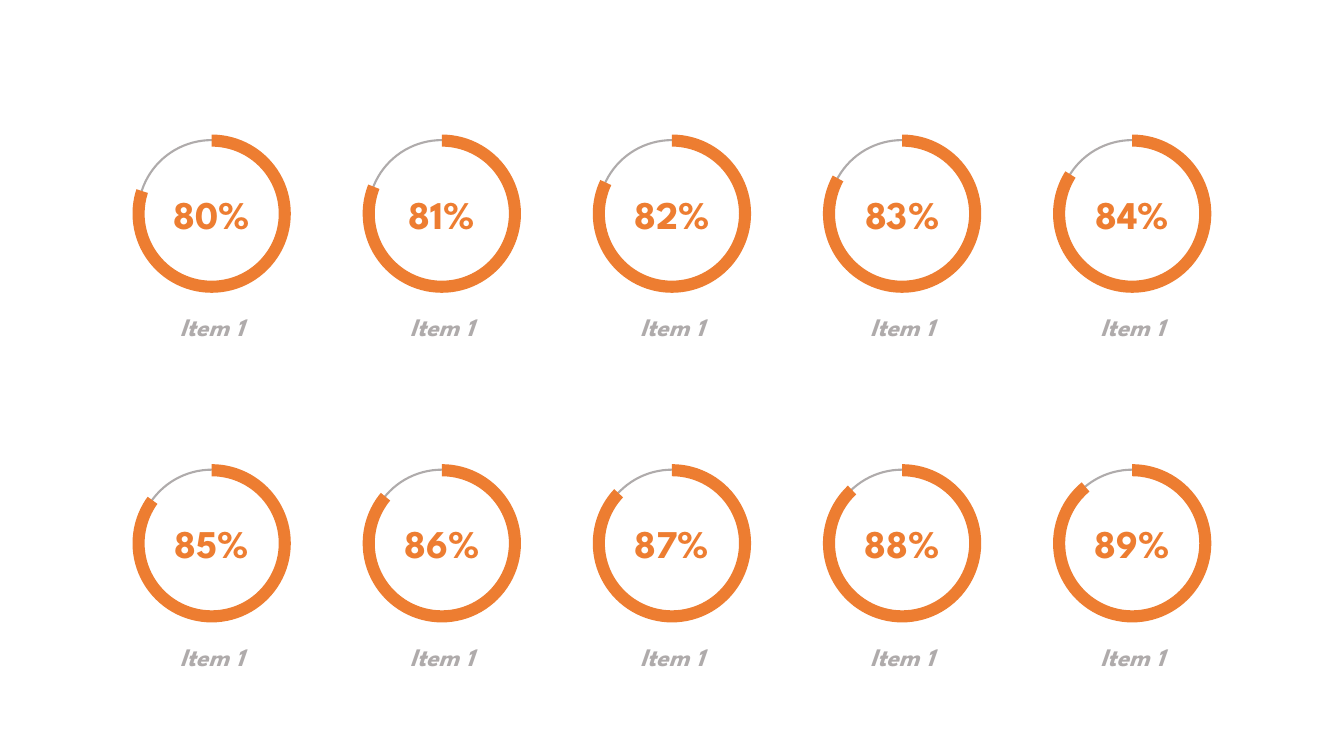
from dataclasses import dataclass

from pptx import Presentation
from pptx.dml.color import RGBColor
from pptx.enum import shapes, text
from pptx.util import Inches, Pt


@dataclass(frozen=True)
class Theme:
    accent: RGBColor = RGBColor.from_string("ED7D31")
    muted: RGBColor = RGBColor.from_string("AFABAB")
    font: str = "League Spartan"
    percent_size: int = 28
    label_size: int = 18
    track_width: float = 1.5


theme = Theme()


def add_text(parent, words, left, top, width, height, size, color, italic=False):
    box = parent.shapes.add_textbox(Inches(left), Inches(top), Inches(width), Inches(height))
    box.text_frame.word_wrap = True
    box.text_frame.auto_size = text.MSO_AUTO_SIZE.SHAPE_TO_FIT_TEXT
    para = box.text_frame.paragraphs[0]
    para.alignment = text.PP_ALIGN.CENTER
    span = para.add_run()
    span.text = words
    span.font.name = theme.font
    span.font.size = Pt(size)
    span.font.bold = True
    span.font.italic = italic
    span.font.color.rgb = color


def add_round(parent, kind, center_x, center_y, diameter):
    shape = parent.shapes.add_shape(
        kind,
        Inches(center_x - diameter / 2),
        Inches(center_y - diameter / 2),
        Inches(diameter),
        Inches(diameter),
    )
    shape.shadow.inherit = False
    return shape


deck = Presentation()
deck.slide_width = Inches(13.33)
deck.slide_height = Inches(7.5)
page = deck.slides.add_slide(deck.slide_layouts[6])

columns = 5
first_x, last_x = 2.1, 11.23
first_y, row_step = 2.12, 3.27
column_step = (last_x - first_x) / (columns - 1)
ring_diameter, ring_thickness = 1.57, 0.12
track_diameter = 1.46
percent_width, percent_height = 1.5, 0.57
label_width, label_height, label_drop = 2.24, 0.4, 0.92
degree_unit = 0.6

for index, percent in enumerate(range(80, 90)):
    row, column = divmod(index, columns)
    x = first_x + column * column_step
    y = first_y + row * row_step
    gauge = page.shapes.add_group_shape()

    track = add_round(gauge, shapes.MSO_SHAPE.OVAL, x, y, track_diameter)
    track.fill.background()
    track.line.color.rgb = theme.muted
    track.line.width = Pt(theme.track_width)

    add_text(gauge, f"{percent}%", x - percent_width / 2, y - percent_height / 2,
             percent_width, percent_height, size=theme.percent_size, color=theme.accent)
    add_text(gauge, "Item 1", x - label_width / 2, y + label_drop,
             label_width, label_height, size=theme.label_size, color=theme.muted, italic=True)

    ring = add_round(gauge, shapes.MSO_SHAPE.BLOCK_ARC, x, y, ring_diameter)
    ring.adjustments[0] = 270 * degree_unit
    ring.adjustments[1] = (percent * 3.6 - 90) * degree_unit
    ring.adjustments[2] = ring_thickness / ring_diameter
    ring.fill.solid()
    ring.fill.fore_color.rgb = theme.accent
    ring.line.fill.background()

deck.save("out.pptx")
